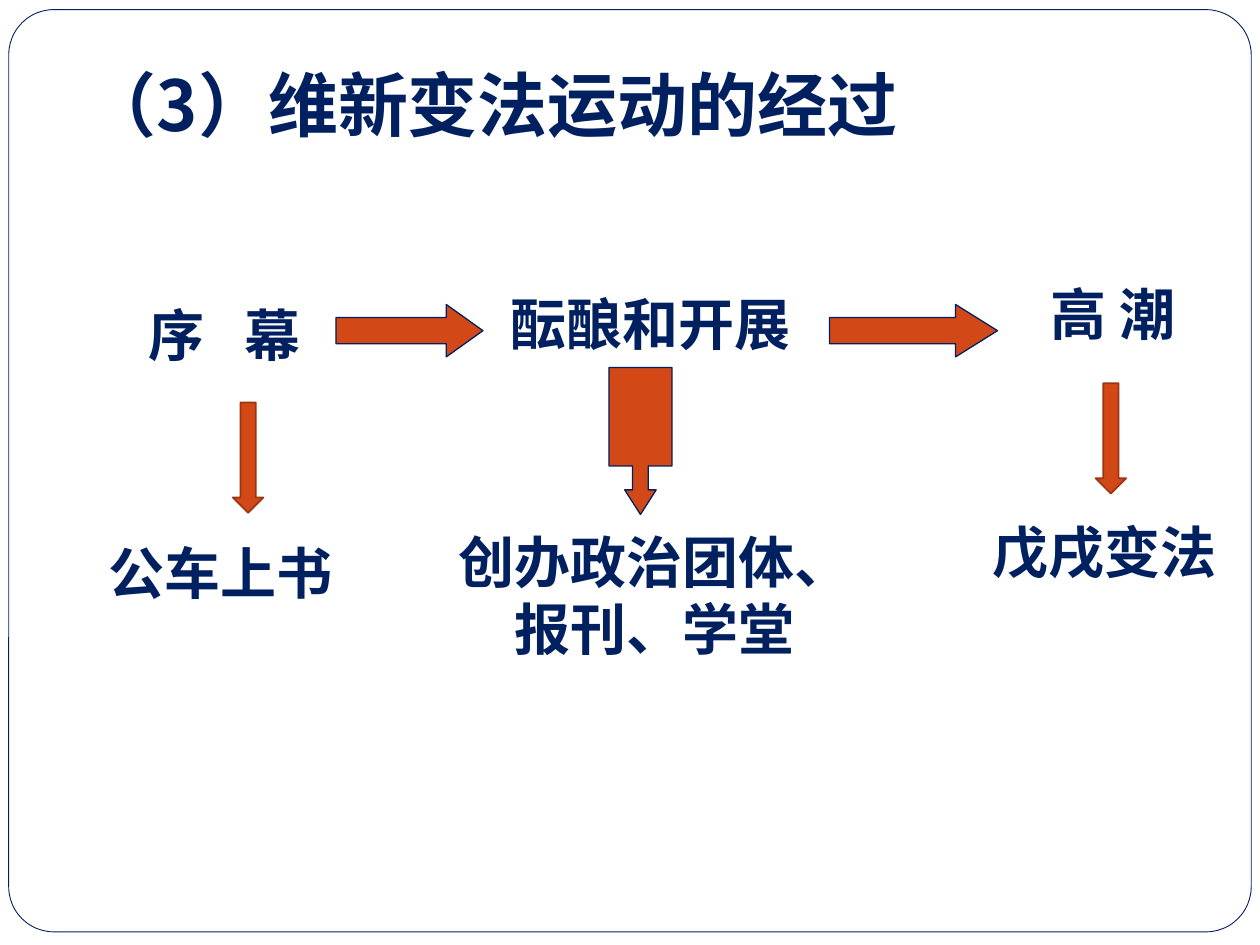
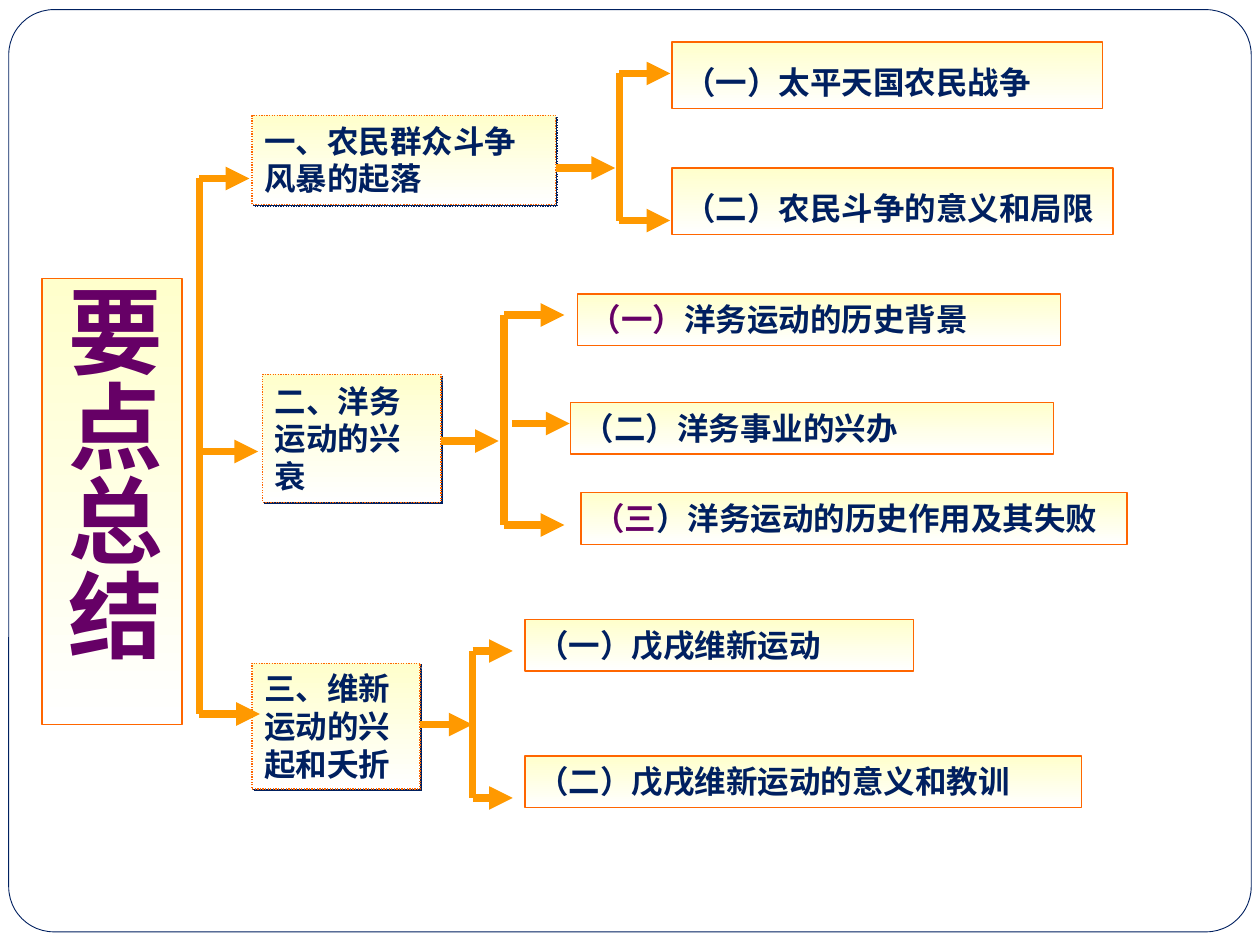
import dataclasses

import pptx
import pptx.dml.color
import pptx.enum.dml
import pptx.enum.shapes
import pptx.enum.text
import pptx.oxml
import pptx.oxml.ns
import pptx.util

Pt = pptx.util.Pt
Kind = pptx.enum.shapes.MSO_SHAPE
Align = pptx.enum.text.PP_ALIGN
Anchor = pptx.enum.text.MSO_ANCHOR
qn = pptx.oxml.ns.qn


# Shared look: colours, fonts and type sizes
@dataclasses.dataclass(frozen=True)
class Theme:
    navy: str = "002060"
    white: str = "FFFFFF"
    cream: str = "FFFFCC"
    rust: str = "D34817"
    brown: str = "9C3511"
    edge: str = "FF6600"
    amber: str = "FF9900"
    plum: str = "660066"
    sans: str = "Noto Sans CJK SC"
    gothic: str = "Noto Sans CJK JP"
    serif: str = "Times New Roman"
    head: int = 40
    stage: int = 32
    point: int = 18
    banner: int = 54


def rgb(code):
    return pptx.dml.color.RGBColor.from_string(code)


def add(parent, tag, **attrs):
    """Append a drawing element with the given attributes."""
    node = pptx.oxml.parse_xml(f"<a:{tag} {pptx.oxml.ns.nsdecls('a')}/>")
    for key, value in attrs.items():
        node.set(key, str(value))
    parent.append(node)
    return node


class Deck:
    def __init__(self, theme):
        self.theme = theme
        self.prs = pptx.Presentation()
        self.prs.slide_width, self.prs.slide_height = Pt(720), Pt(540)
        self.slide = None

    def page(self):
        self.slide = self.prs.slides.add_slide(self.prs.slide_layouts[5])

    def frame(self):
        """Put the rounded border on the master, behind everything."""
        t = self.theme
        shape = self.shape(Kind.ROUNDED_RECTANGLE, (5, 5.5, 710, 527),
                           t.white, t.navy, 0.5, [0.049])
        self.prs.slide_master.shapes._spTree.insert(2, shape._element)

    def font(self, font, size, color, face):
        font.size, font.bold, font.name = Pt(size), True, face
        font.color.rgb = rgb(color)
        east = self.theme.sans if face == self.theme.serif else face
        add(font._rPr, "ea", typeface=east)

    def text(self, shape, parts, size, align=Align.LEFT,
             anchor=Anchor.TOP, space=None, tab=None):
        """Fill a shape with one paragraph of (text, colour, face) parts."""
        frame = shape.text_frame
        frame.word_wrap = True
        frame.auto_size = pptx.enum.text.MSO_AUTO_SIZE.NONE
        frame.vertical_anchor = anchor
        para = frame.paragraphs[0]
        para.alignment = align
        if space:
            para.line_spacing = space
        if tab:
            stops = add(para._p.get_or_add_pPr(), "tabLst")
            add(stops, "tab", pos=int(Pt(tab)), algn="l")
        for words, color, face in parts:
            run = para.add_run()
            run.text = words
            if len(parts) > 1:
                self.font(run.font, size, color, face)
        if len(parts) == 1:
            self.font(para.font, size, *parts[0][1:])

    def title(self, place, parts, size):
        shape = self.slide.shapes.title
        self.move(shape, place)
        self.text(shape, parts, size)
        return shape

    def move(self, shape, place):
        shape.left, shape.top, shape.width, shape.height = map(Pt, place)

    def label(self, place, words, face, **style):
        shape = self.slide.shapes.add_textbox(*map(Pt, place))
        self.text(shape, [(words, self.theme.navy, face)],
                  self.theme.stage, **style)

    def shape(self, kind, place, fill, line, width, adjust=()):
        shape = self.slide.shapes.add_shape(kind, *map(Pt, place))
        shape.shadow.inherit = False
        shape.fill.solid()
        shape.fill.fore_color.rgb = rgb(fill)
        shape.line.color.rgb = rgb(line)
        shape.line.width = Pt(width)
        for i, value in enumerate(adjust):
            shape.adjustments[i] = value
        return shape

    def fade(self, shape):
        """Cream to white fill with a thin orange edge."""
        t = self.theme
        shape.fill.gradient()
        shape.fill.gradient_angle = 270
        for stop, color, spot in zip(shape.fill.gradient_stops,
                                     (t.cream, t.white), (0, 1)):
            stop.color.rgb, stop.position = rgb(color), spot
        shape.line.color.rgb = rgb(t.edge)
        shape.line.width = Pt(0.75)

    def box(self, place, parts, **style):
        t = self.theme
        shape = self.shape(Kind.RECTANGLE, place, t.cream, t.edge, 0.75)
        self.fade(shape)
        self.text(shape, parts, t.point, **style)
        return shape

    def topic(self, place, words, anchor):
        """Dotted box with a hard shadow."""
        t = self.theme
        shape = self.box(place, [(words, t.navy, t.gothic)], anchor=anchor)
        shape.line.dash_style = pptx.enum.dml.MSO_LINE.ROUND_DOT
        glow = shape._element.spPr.find(qn("a:effectLst"))
        cast = add(glow, "outerShdw", blurRad=0, dist=int(Pt(1.4)),
                   dir=45 * 60000, algn="ctr", rotWithShape=0)
        add(cast, "srgbClr", val=t.navy)

    def line(self, x1, y1, x2, y2, tip=True):
        line = self.slide.shapes.add_connector(
            pptx.enum.shapes.MSO_CONNECTOR.STRAIGHT,
            *map(Pt, (x1, y1, x2, y2)))
        line.line.color.rgb = rgb(self.theme.amber)
        line.line.width = Pt(4.5)
        if tip:
            add(line.line._ln, "tailEnd", type="triangle")
        add(line._element.spPr, "effectLst")

    def tree(self, x, twigs):
        """Upright trunk with an arrow for each (start, y, end) twig."""
        self.line(x, twigs[0][1], x, twigs[-1][1], tip=False)
        for start, y, end in twigs:
            self.line(start, y, end, y)


def course(deck):
    t = deck.theme
    deck.page()
    deck.frame()
    deck.title((42.5, 31.5, 587.5, 55.5),
               [("（3）", t.navy, t.gothic),
                ("维新变法运动的经过", t.navy, t.serif)], t.head)

    # Stages and what each one led to
    deck.label((78, 168, 132, 96), "序\t幕", t.serif, tab=54.5)
    for place, words in (((282, 162, 180, 45), "酝酿和开展"),
                         ((588, 156, 96, 45), "高 潮"),
                         ((54, 304, 144, 45), "公车上书"),
                         ((252, 298, 244, 84), "创办政治团体、报刊、学堂"),
                         ((559, 292, 144, 45), "戊戌变法")):
        deck.label(place, words, t.sans, align=Align.CENTER)

    # Arrows across and down
    for x, wide, head in ((192, 84, 0.7), (474, 96, 0.8)):
        deck.shape(Kind.RIGHT_ARROW, (x, 174, wide, 30),
                   t.rust, t.navy, 0.75, [0.5, head])
    deck.shape(Kind.DOWN_ARROW_CALLOUT, (348, 210, 36, 84),
               t.rust, t.navy, 0.75, [0.25, 0.25, 0.39, 0.67])
    for x, y in ((133, 230), (626, 219)):
        deck.shape(Kind.DOWN_ARROW, (x, y, 17.5, 63), t.rust, t.brown, 1)


def recap(deck):
    t = deck.theme
    deck.page()
    banner = deck.title((24, 159, 80, 255),
                        [("要点总结", t.plum, t.sans)], t.banner)
    banner.text_frame._txBody.bodyPr.set("vert", "eaVert")
    deck.fade(banner)

    # Topics
    for place, words, anchor in (
            ((144, 66, 173.5, 51), "一、农民群众斗争风暴的起落", Anchor.TOP),
            ((150, 214, 102, 73), "二、洋务运动的兴衰", Anchor.MIDDLE),
            ((144, 379, 96, 72), "三、维新运动的兴起和夭折", Anchor.MIDDLE)):
        deck.topic(place, words, anchor)

    # Points: left, top, width, plum lead, navy text
    for x, y, wide, lead, words in (
            (384, 24, 246, "", "（一）太平天国农民战争"),
            (384, 96, 252, "", "（二）农民斗争的意义和局限"),
            (330, 168, 276, "（一）", "洋务运动的历史背景"),
            (326, 230, 276, "", "（二）洋务事业的兴办"),
            (332, 281.5, 312, "（三", "）洋务运动的历史作用及其失败"),
            (300, 354, 222, "", "（一）戊戌维新运动"),
            (300, 432, 318, "", "（二）戊戌维新运动的意义和教训")):
        parts = [(lead, t.plum, t.sans)] if lead else []
        parts.append((words, t.navy, t.gothic))
        tall = y < 120
        deck.box((x, y, wide, 38 if tall else 29.5), parts,
                 space=1.4 if tall else None)

    # Branches, then the arrows that feed them
    for x, twigs in (
            (114, [(114, 102, 142.5), (114, 258, 147.5), (114, 408, 148.5)]),
            (354, [(354, 42, 383), (354, 126, 383)]),
            (288, [(288, 180, 322.5), (292.5, 242, 325.5),
                   (288, 300, 322.5)]),
            (270, [(270, 372, 293), (270, 456, 293)])):
        deck.tree(x, twigs)
    for x, y, end in ((318, 96, 351.5), (252, 252, 285), (240, 414, 270)):
        deck.line(x, y, end, y)


def main():
    deck = Deck(Theme())
    course(deck)
    recap(deck)
    deck.prs.save("out.pptx")


if __name__ == "__main__":
    main()
